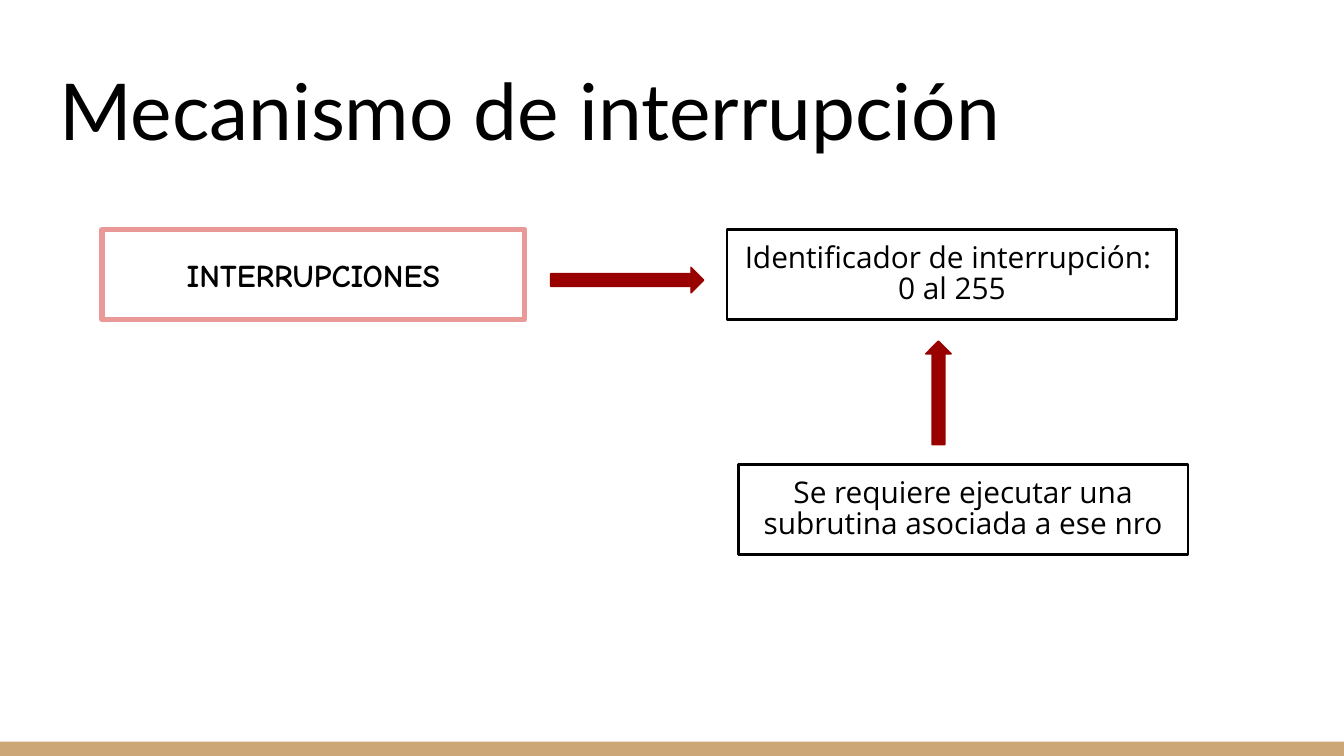
from pptx import Presentation
from pptx.dml.color import RGBColor
from pptx.enum.shapes import MSO_SHAPE
from pptx.enum.text import MSO_ANCHOR, MSO_AUTO_SIZE, PP_ALIGN
from pptx.util import Pt

RECT, ARROW = MSO_SHAPE.RECTANGLE, MSO_SHAPE.RIGHT_ARROW
TOP, MID, LOW = MSO_ANCHOR.TOP, MSO_ANCHOR.MIDDLE, MSO_ANCHOR.BOTTOM
LEFT, CENTER = PP_ALIGN.LEFT, PP_ALIGN.CENTER
FIXED = MSO_AUTO_SIZE.NONE

BLACK = RGBColor(0x00, 0x00, 0x00)
TAN = RGBColor(0xCC, 0xA6, 0x77)
PINK = RGBColor(0xEA, 0x99, 0x99)
RED = RGBColor(0x99, 0x00, 0x00)


class Deck:
    head, label, body = "Lato", "Comic Neue", "Open Sans"
    inset = Pt(7.2)

    def __init__(self, wide, high):
        self.file = Presentation()
        self.file.slide_width, self.file.slide_height = Pt(wide), Pt(high)
        self.slide = self.file.slides.add_slide(self.file.slide_layouts[5])

    def text(self, shape, lines, font, size, align, anchor, bold=False, pitch=1.0):
        frame = shape.text_frame
        frame.word_wrap = True
        frame.auto_size = FIXED
        frame.vertical_anchor = anchor
        frame.margin_left = frame.margin_right = self.inset
        frame.margin_top = frame.margin_bottom = self.inset
        for i, line in enumerate(lines):
            para = frame.add_paragraph() if i else frame.paragraphs[0]
            para.alignment = align
            para.line_spacing = pitch
            run = para.add_run()
            run.text = line
            run.font.name, run.font.size, run.font.bold = font, Pt(size), bold
            run.font.color.rgb = BLACK

    def title(self, text, left, top, wide, high):
        shape = self.slide.shapes.title
        shape.left, shape.top = Pt(left), Pt(top)
        shape.width, shape.height = Pt(wide), Pt(high)
        self.text(shape, [text], self.head, 42, LEFT, LOW)

    def shape(self, kind, left, top, wide, high, fill=None, line=None, weight=0.75):
        shape = self.slide.shapes.add_shape(kind, Pt(left), Pt(top), Pt(wide), Pt(high))
        shape.shadow.inherit = False
        if fill is None:
            shape.fill.background()
        else:
            shape.fill.solid()
            shape.fill.fore_color.rgb = fill
        if line is None:
            shape.line.fill.background()
        else:
            shape.line.color.rgb = line
            shape.line.width = Pt(weight)
        return shape

    def topic(self, text, left, top, wide, high):
        box = self.shape(RECT, left, top, wide, high, line=PINK, weight=3)
        self.text(box, [text], self.label, 17, CENTER, MID, bold=True)

    def note(self, lines, left, top, wide, high):
        box = self.shape(RECT, left, top, wide, high, line=BLACK, weight=1.5)
        self.text(box, lines, self.body, 16, CENTER, TOP, pitch=0.88)

    def arrow(self, left, top, wide, turn=0):
        shape = self.shape(ARROW, left, top, wide, 13.7, fill=RED, line=RED)
        shape.rotation = turn

    def save(self):
        self.file.save("out.pptx")


def main():
    deck = Deck(720, 405)
    deck.shape(RECT, 0, 397.3, 720, 7.7, fill=TAN)
    deck.title("Mecanismo de interrupción", 24.5, 25.2, 671, 65.5)
    row, high, wide = 123, 48.3, 241
    deck.topic("INTERRUPCIONES", 54.8, row, 226.2, high)
    deck.note(["Identificador de interrupción: ", "0 al 255"], 389.5, row, wide, high)
    deck.note(["Se requiere ejecutar una subrutina asociada a ese nro"], 395.5, 249, wide, high)
    deck.arrow(295, 143.2, 82)
    deck.arrow(475, 203.6, 55.5, turn=270)
    deck.save()


if __name__ == "__main__":
    main()
